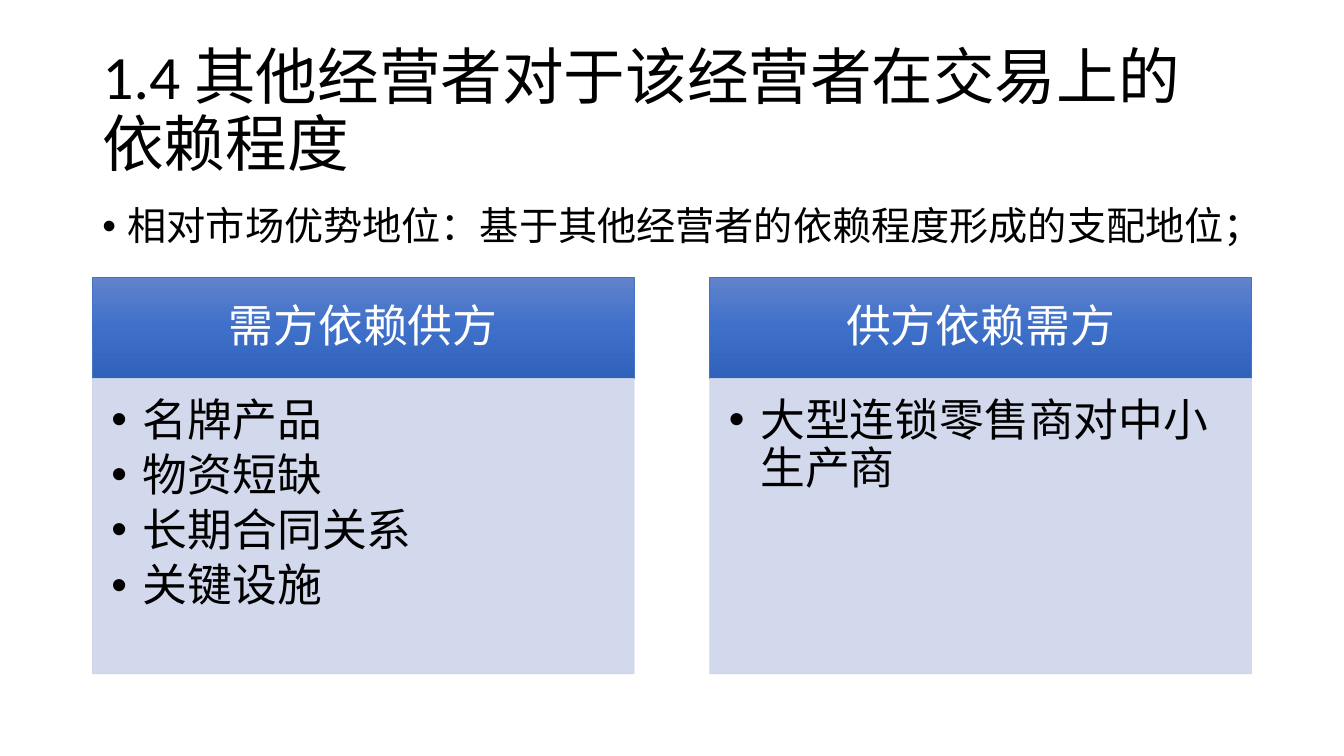
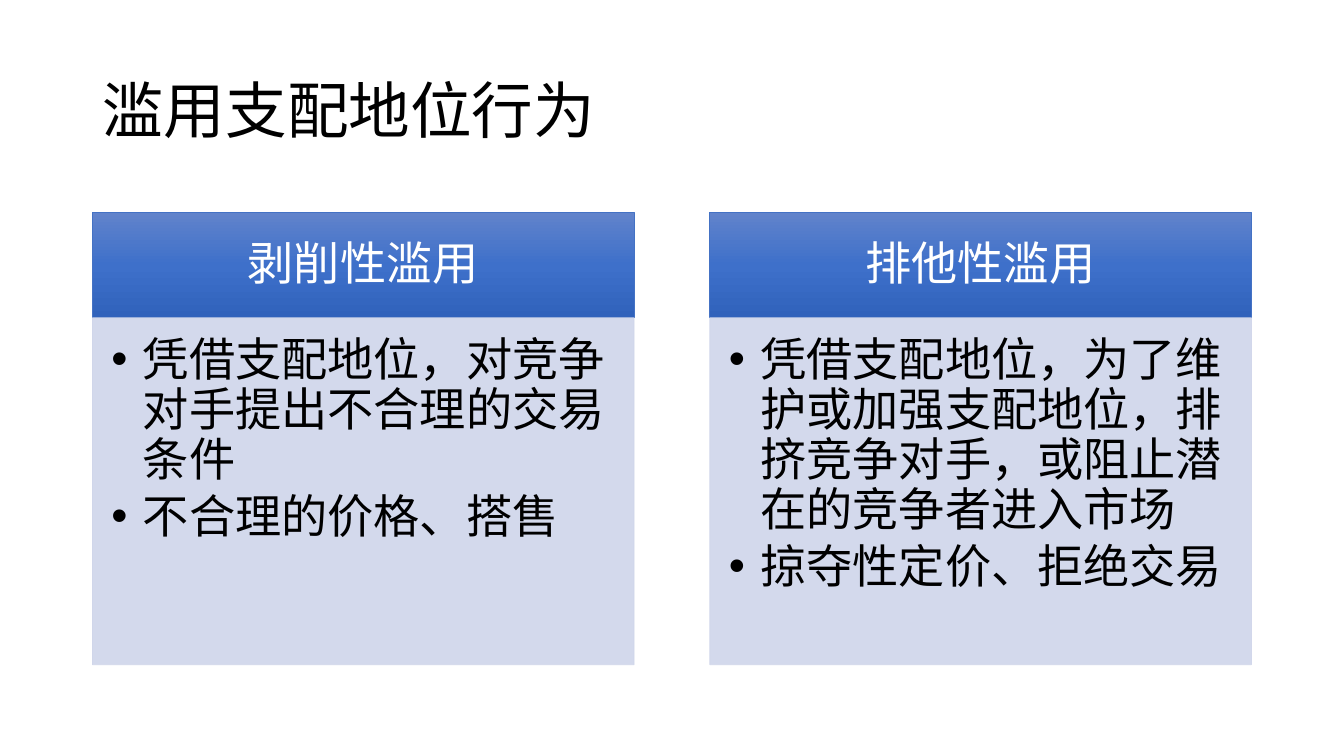
from copy import deepcopy

from lxml import etree
from pptx import Presentation
from pptx import util as u
from pptx.dml.color import RGBColor
from pptx.enum import shapes, text
from pptx.oxml import ns

FONT = "Calibri"
BLACK = RGBColor(0x00, 0x00, 0x00)
WHITE = RGBColor(0xFF, 0xFF, 0xFF)
HEADER_LINE = RGBColor(0x44, 0x72, 0xC4)
HEADER_STOPS = (
    (0, RGBColor(0x61, 0x83, 0xCB)),
    (0.5, RGBColor(0x3E, 0x70, 0xCA)),
    (1, RGBColor(0x30, 0x62, 0xBB)),
)
PANEL = RGBColor(0xCF, 0xD5, 0xEA)

LEFT = u.Cm(2.33)
WIDTH = u.Cm(29.21)
COLUMN_WIDTH = u.Cm(13.65)


def write(box, lines, size, color=BLACK, anchor=text.MSO_ANCHOR.TOP,
          align=text.PP_ALIGN.LEFT, margins=(0.25, 0.13, 0.25, 0.13),
          before=0, after=0, indent=None):
    frame = box.text_frame
    frame.word_wrap = True
    frame.vertical_anchor = anchor
    (frame.margin_left, frame.margin_top,
     frame.margin_right, frame.margin_bottom) = map(u.Cm, margins)
    frame.text = "\n".join(lines)
    for para in frame.paragraphs:
        para.alignment = align
        para.line_spacing = 0.9
        para.space_before = u.Pt(before)
        para.space_after = u.Pt(after)
        if indent is not None:
            add_bullet(para, indent)
        for span in para.runs:
            span.font.name = FONT
            span.font.size = u.Pt(size)
            span.font.color.rgb = color


def add_bullet(para, indent):
    properties = para._p.get_or_add_pPr()
    properties.set("marL", str(u.Cm(indent)))
    properties.set("indent", str(-u.Cm(indent)))
    etree.SubElement(properties, ns.qn("a:buFont")).set("typeface", "Arial")
    etree.SubElement(properties, ns.qn("a:buChar")).set("char", "•")


def add_rectangle(page, left, top, width, height, line_color):
    box = page.shapes.add_shape(
        shapes.MSO_SHAPE.RECTANGLE, left, top, width, height)
    box.shadow.inherit = False
    box.line.color.rgb = line_color
    box.line.width = u.Pt(0.5)
    return box


def fill_gradient(box):
    box.fill.gradient()
    box.fill.gradient_angle = 270
    stop_list = box._element.xpath("./p:spPr//a:gsLst")[0]
    stop_list.append(deepcopy(stop_list[-1]))
    for stop, (position, color) in zip(box.fill.gradient_stops, HEADER_STOPS):
        stop.position = position
        stop.color.rgb = color


def fill_translucent(box, color, opacity):
    box.fill.solid()
    box.fill.fore_color.rgb = color
    for node in box._element.xpath("./p:spPr//a:srgbClr"):
        etree.SubElement(node, ns.qn("a:alpha")).set("val", str(opacity * 1000))


def add_title(page, title):
    box = page.shapes.add_textbox(LEFT, u.Cm(1.01), WIDTH, u.Cm(3.68))
    write(box, [title], 44, anchor=text.MSO_ANCHOR.MIDDLE)


def add_statement(page, statement):
    box = page.shapes.add_textbox(LEFT, u.Cm(5.08), WIDTH, u.Cm(12.09))
    write(box, [statement], 28, before=10, indent=0.64)


def add_column(page, left, top, header_height, panel_height, size, heading, points):
    header = add_rectangle(
        page, left, top, COLUMN_WIDTH, header_height, HEADER_LINE)
    fill_gradient(header)
    write(header, [heading], size, WHITE, text.MSO_ANCHOR.MIDDLE,
          text.PP_ALIGN.CENTER, (0.64, 0.36, 0.64, 0.36))
    panel = add_rectangle(
        page, left, top + header_height, COLUMN_WIDTH, panel_height, PANEL)
    fill_translucent(panel, PANEL, 90)
    write(panel, points, size, margins=(0.48, 0.48, 0.64, 0.72),
          after=round(size * 0.15, 1), indent=0.79)


def add_comparison(deck, title, columns, top, header_height, panel_height, size,
                   statement=None):
    page = deck.slides.add_slide(deck.slide_layouts[6])
    add_title(page, title)
    if statement:
        add_statement(page, statement)
    step = (WIDTH - COLUMN_WIDTH) // (len(columns) - 1)
    for index, (heading, points) in enumerate(columns):
        add_column(page, LEFT + index * step, u.Cm(top), u.Cm(header_height),
                   u.Cm(panel_height), size, heading, points)


def main():
    deck = Presentation()
    deck.slide_width = u.Cm(33.87)
    deck.slide_height = u.Cm(19.05)
    add_comparison(
        deck,
        "1.4 其他经营者对于该经营者在交易上的依赖程度",
        [
            ("需方依赖供方", ["名牌产品", "物资短缺", "长期合同关系", "关键设施"]),
            ("供方依赖需方", ["大型连锁零售商对中小生产商"]),
        ],
        top=6.98, header_height=2.56, panel_height=7.44, size=32,
        statement="相对市场优势地位：基于其他经营者的依赖程度形成的支配地位；",
    )
    add_comparison(
        deck,
        "滥用支配地位行为",
        [
            ("剥削性滥用", [
                "凭借支配地位，对竞争对手提出不合理的交易条件",
                "不合理的价格、搭售",
            ]),
            ("排他性滥用", [
                "凭借支配地位，为了维护或加强支配地位，排挤竞争对手，或阻止潜在的竞争者进入市场",
                "掠夺性定价、拒绝交易",
            ]),
        ],
        top=5.36, header_height=2.65, panel_height=8.74, size=33,
    )
    deck.save("out.pptx")


if __name__ == "__main__":
    main()
